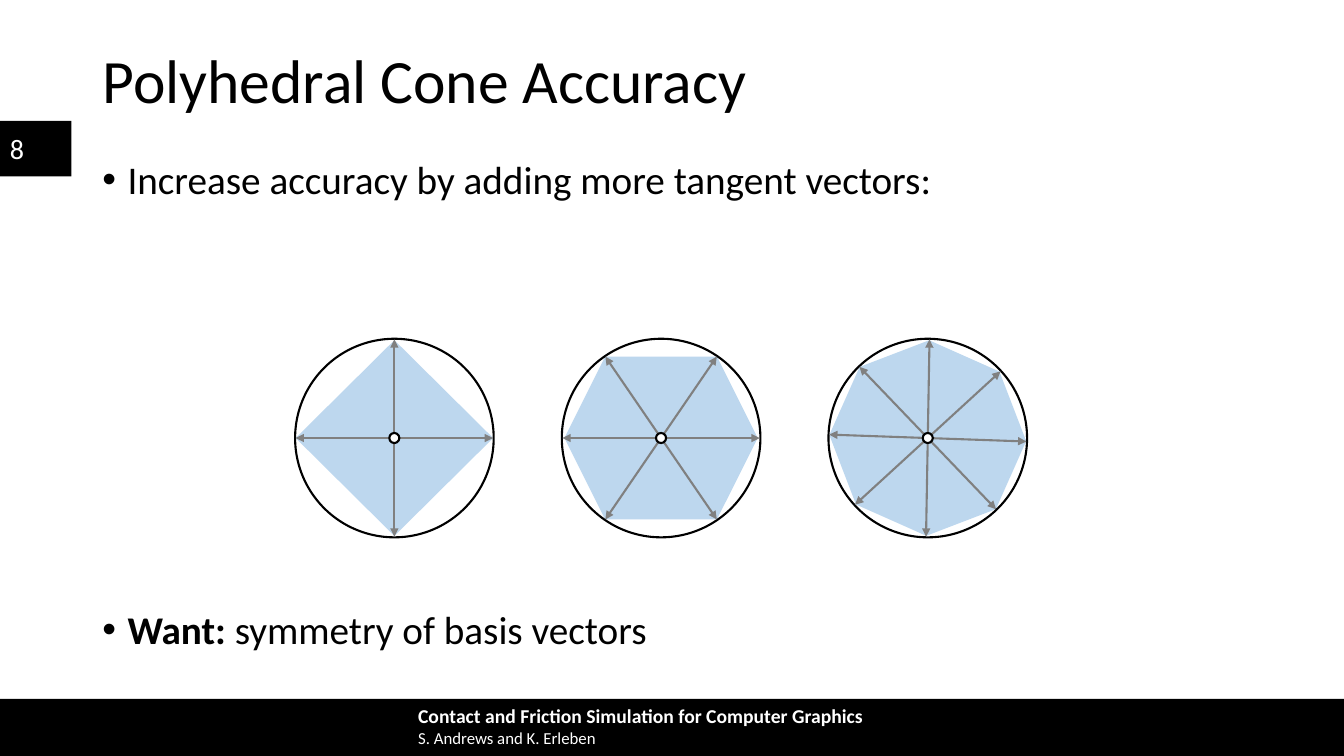
from dataclasses import dataclass
from math import cos, radians, sin

from lxml import etree
from pptx import Presentation
from pptx.dml.color import RGBColor
from pptx.enum.shapes import MSO_CONNECTOR, MSO_SHAPE
from pptx.enum.text import MSO_ANCHOR, PP_ALIGN
from pptx.oxml.ns import qn
from pptx.util import Inches, Pt

RECT, ELLIPSE = MSO_SHAPE.RECTANGLE, MSO_SHAPE.OVAL
DIAMOND, HEXAGON, OCTAGON = MSO_SHAPE.DIAMOND, MSO_SHAPE.HEXAGON, MSO_SHAPE.OCTAGON
STRAIGHT = MSO_CONNECTOR.STRAIGHT
TOP, MIDDLE, LEFT = MSO_ANCHOR.TOP, MSO_ANCHOR.MIDDLE, PP_ALIGN.LEFT
COLS, ROWS = 160, 90


@dataclass(frozen=True)
class Theme:
    font: str = "Calibri"
    ink: str = "000000"
    paper: str = "FFFFFF"
    cone: str = "BDD7EE"
    vector: str = "808080"
    title: int = 44
    body: int = 28
    number: int = 20
    footer: int = 14
    authors: int = 12
    line: float = 1.5


class Deck:
    def __init__(self, theme):
        self.theme = theme
        self.prs = Presentation()
        self.prs.slide_width, self.prs.slide_height = Inches(13.33), Inches(7.5)
        self.s = self.prs.slides.add_slide(self.prs.slide_layouts[5])

    def x(self, cols):
        return round(self.prs.slide_width * cols / COLS)

    def y(self, rows):
        return round(self.prs.slide_height * rows / ROWS)

    def box(self, left, top, width, height):
        return self.x(left), self.y(top), self.x(width), self.y(height)

    def style(self, p, size, color, bold=False):
        p.alignment = LEFT
        for r in p.runs:
            r.font.name, r.font.size, r.font.bold = self.theme.font, Pt(size), bold
            r.font.color.rgb = RGBColor.from_string(color)

    def title(self, text, *cells):
        sp = self.s.shapes.title
        sp.left, sp.top, sp.width, sp.height = self.box(*cells)
        tf = sp.text_frame
        tf.text, tf.vertical_anchor = text, MIDDLE
        tf.paragraphs[0].line_spacing = 0.9
        self.style(tf.paragraphs[0], self.theme.title, self.theme.ink)

    def text(self, lines, *cells, color, anchor=TOP):
        tf = self.s.shapes.add_textbox(*self.box(*cells)).text_frame
        tf.word_wrap, tf.vertical_anchor = True, anchor
        tf.text = "\n".join(text for text, size, bold in lines)
        for p, (text, size, bold) in zip(tf.paragraphs, lines):
            self.style(p, size, color, bold)
        return tf

    def bullets(self, items, gap, *cells):
        lines = [(text, self.theme.body, False) for text in items]
        tf = self.text(lines, *cells, color=self.theme.ink)
        for i, p in enumerate(tf.paragraphs):
            pPr = p._p.get_or_add_pPr()
            pPr.set("marL", str(Inches(0.25)))
            pPr.set("indent", str(-Inches(0.25)))
            etree.SubElement(pPr, qn("a:buFont")).set("typeface", "Arial")
            etree.SubElement(pPr, qn("a:buChar")).set("char", "•")
            p.line_spacing = 0.9
            p.space_before = Pt(gap if i else 0)
        return tf

    def shape(self, kind, *cells, fill=None, line=None, turn=0, parent=None):
        sp = (parent or self.s).shapes.add_shape(kind, *self.box(*cells))
        sp.shadow.inherit = False
        sp.rotation = turn
        if fill:
            sp.fill.solid()
            sp.fill.fore_color.rgb = RGBColor.from_string(fill)
        else:
            sp.fill.background()
        if line:
            sp.line.color.rgb = RGBColor.from_string(line)
            sp.line.width = Pt(self.theme.line)
        else:
            sp.line.fill.background()

    def centred(self, kind, cx, cy, width, height, **look):
        self.shape(kind, cx - width / 2, cy - height / 2, width, height, **look)

    def double_arrow(self, parent, x1, y1, x2, y2):
        c = parent.shapes.add_connector(
            STRAIGHT, self.x(x1), self.y(y1), self.x(x2), self.y(y2))
        c.line.color.rgb = RGBColor.from_string(self.theme.vector)
        c.line.width = Pt(self.theme.line)
        ln = c.line._get_or_add_ln()
        for end in ("a:headEnd", "a:tailEnd"):
            etree.SubElement(ln, qn(end)).set("type", "triangle")
        etree.SubElement(c._element.spPr, qn("a:effectLst"))

    def cone(self, kind, cx, cy, width, height, angles, turn=0):
        t, ring, reach, dot = self.theme, 23.64, 11.75, 1.2
        group = self.s.shapes.add_group_shape()
        self.centred(kind, cx, cy, width, height, fill=t.cone, turn=turn, parent=group)
        self.centred(ELLIPSE, cx, cy, ring, ring, line=t.ink, parent=group)
        for angle in angles:
            dx, dy = reach * cos(radians(angle)), reach * sin(radians(angle))
            self.double_arrow(group, cx - dx, cy - dy, cx + dx, cy + dy)
        self.centred(ELLIPSE, cx, cy, dot, dot, fill=t.paper, line=t.ink, parent=group)


def main():
    t = Theme()
    deck = Deck(t)
    deck.shape(RECT, 0, 83.2, COLS, 6.8, fill=t.ink)
    deck.shape(RECT, 0, 14.4, 8.5, 6.6, fill=t.ink)
    deck.text([("8", t.number, False)], 0, 15.2, 6.5, 4.8, color=t.paper, anchor=MIDDLE)
    deck.text([("Contact and Friction Simulation for Computer Graphics", t.footer, True),
               ("S. Andrews and K. Erleben", t.authors, False)],
              48.6, 83.2, 100.4, 6.5, color=t.paper)
    deck.title("Polyhedral Cone Accuracy", 11, 4.8, 138, 10.3)

    tf = deck.bullets(["Increase accuracy by adding more tangent vectors:", "Want: "],
                      291, 11, 18.5, 138, 62.5)
    want = tf.paragraphs[1]
    want.add_run().text = "symmetry of basis vectors"
    deck.style(want, t.body, t.ink)
    want.runs[0].font.bold = True

    cones = [(DIAMOND, 23.5, 23.3, (0, 90), 0),
             (HEXAGON, 23, 19.4, (0, 55.6, -55.6), 0),
             (OCTAGON, 21.7, 21.4, (2, 46.2, -42.5, -89), 24)]
    for i, (kind, width, height, angles, turn) in enumerate(cones):
        deck.cone(kind, 46.95 + 31.75 * i, 52.15, width, height, angles, turn)
    deck.prs.save("out.pptx")


if __name__ == "__main__":
    main()
